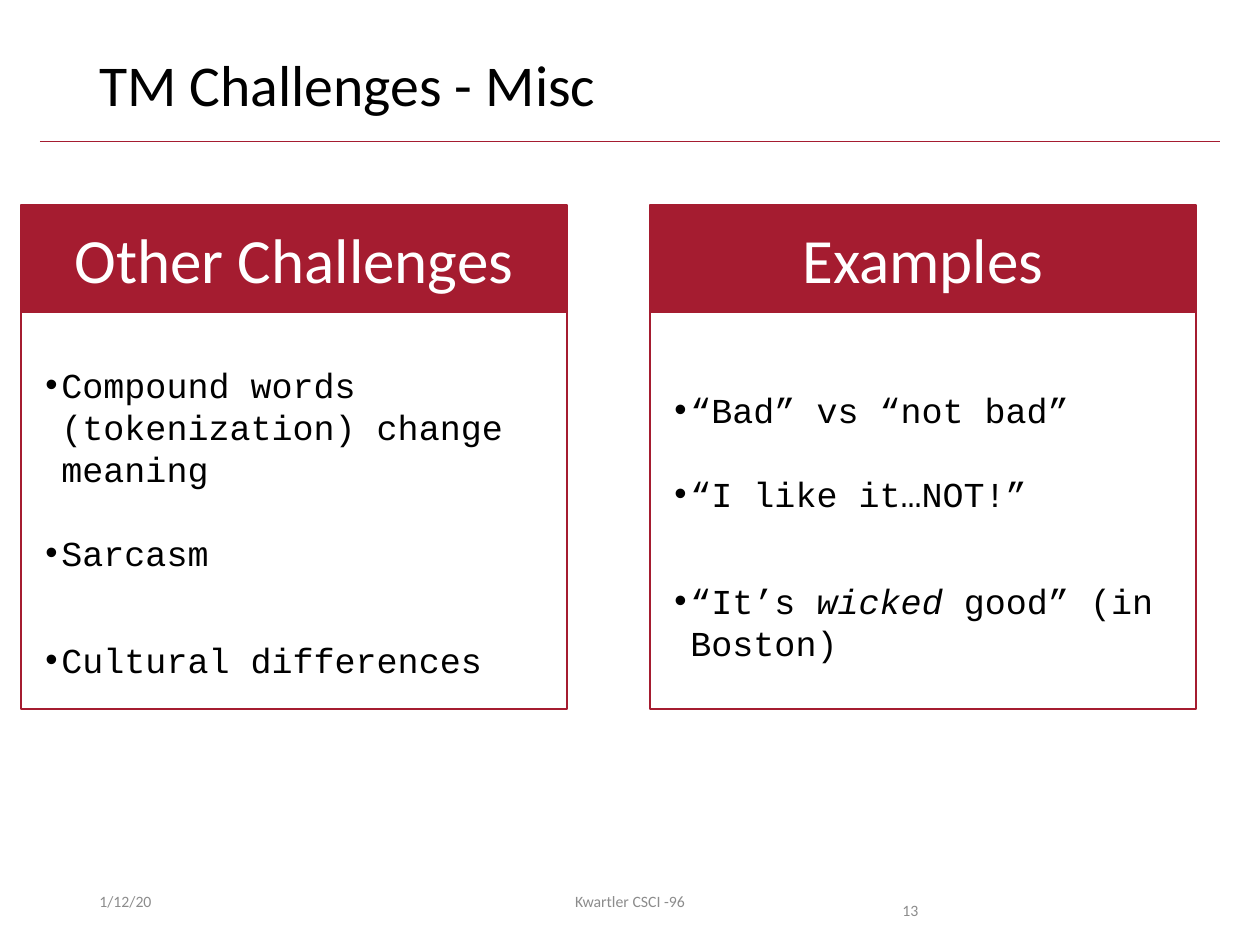
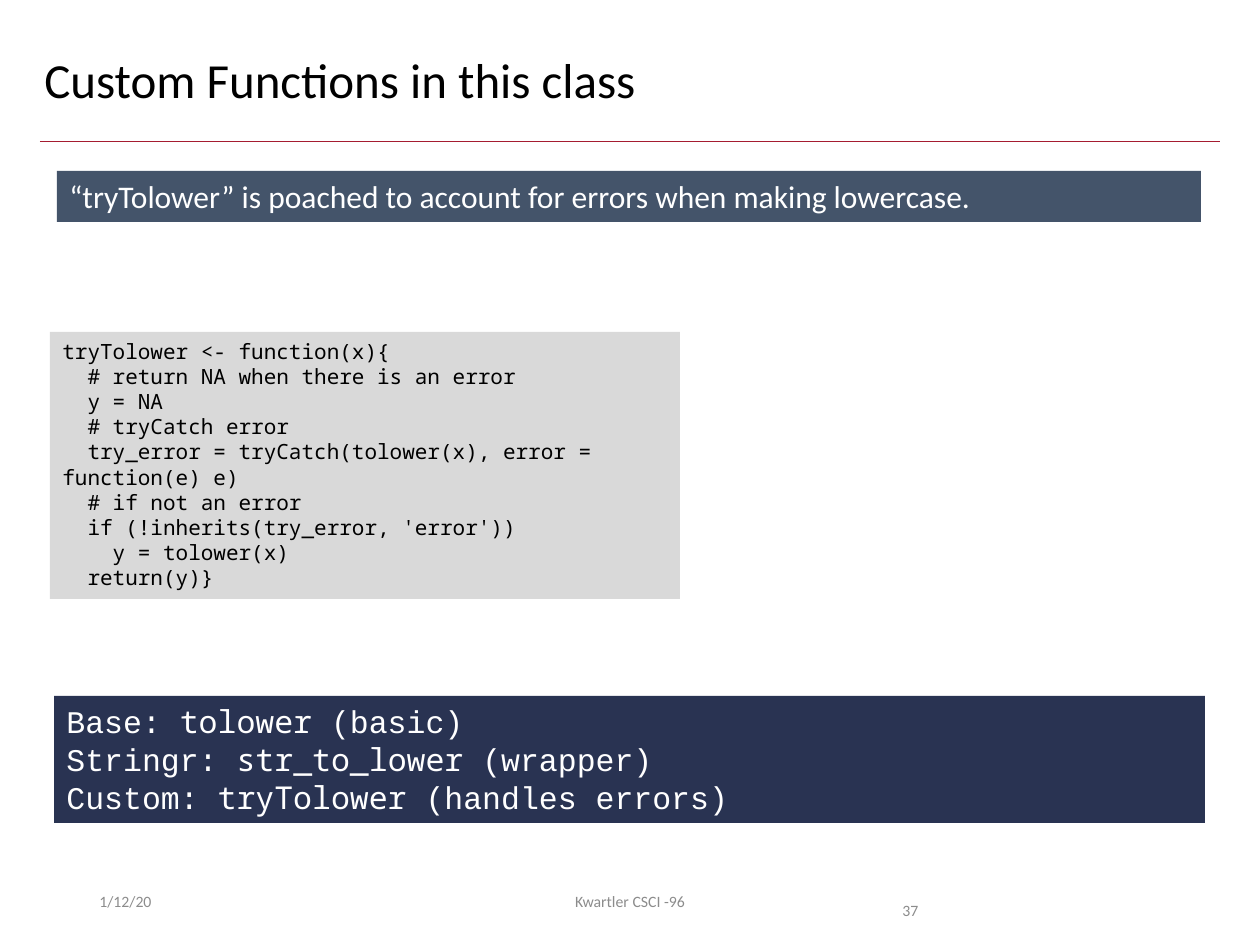
"""Builds two text mining lecture slides with a shared title, rule and footer."""
from lxml.etree import SubElement
from pptx import Presentation
from pptx.dml.color import RGBColor
from pptx.enum.shapes import MSO_CONNECTOR, MSO_SHAPE
from pptx.enum.text import MSO_ANCHOR, PP_ALIGN
from pptx.oxml.ns import qn
from pptx.util import Emu, Pt

CRIMSON = RGBColor(0xA5, 0x1C, 0x30)
NAVY = RGBColor(0x29, 0x33, 0x52)
SLATE = RGBColor(0x44, 0x54, 0x6A)
SILVER = RGBColor(0xD9, 0xD9, 0xD9)
GRAY = RGBColor(0x8C, 0x8C, 0x8C)
BLACK = RGBColor(0, 0, 0)
WHITE = RGBColor(0xFF, 0xFF, 0xFF)
SANS, TYPEWRITER, MONO = "Calibri", "Courier New", "Noto Sans Mono"
PAGE_WIDTH, PAGE_HEIGHT = 1260, 945
BULLET_INDENT = 16
BULLET_GAPS = (0, 24, 37)


def px(length):
    return Emu(round(length * 914400 / 126))


class LectureDeck:
    def __init__(self):
        self.deck = Presentation()
        self.deck.slide_width = px(PAGE_WIDTH)
        self.deck.slide_height = px(PAGE_HEIGHT)
        self.page = None

    def start_page(self, title, number, title_left, title_size):
        self.page = self.deck.slides.add_slide(self.deck.slide_layouts[6])
        self.rule(40, 141, 1220)
        self.text((title_left, 50, PAGE_WIDTH - 2 * title_left, 82), [title],
                  title_size, line_spacing=0.9)
        self.footer(87, 284, "1/12/20", anchor=MSO_ANCHOR.MIDDLE)
        self.footer(417, 426, "Kwartler CSCI -96", align=PP_ALIGN.CENTER,
                    anchor=MSO_ANCHOR.MIDDLE)
        self.footer(890, 118, str(number), line_spacing=2.0)

    def rule(self, left, top, right):
        line = self.page.shapes.add_connector(
            MSO_CONNECTOR.STRAIGHT, px(left), px(top), px(right), px(top))
        line.line.color.rgb = CRIMSON
        line.line.width = Pt(0.5)
        SubElement(line._element.spPr, qn("a:effectLst"))

    def footer(self, left, width, words, **style):
        self.text((left, 876, width, 50), [words], 9, color=GRAY, **style)

    def text(self, place, lines, size, **style):
        box = self.page.shapes.add_textbox(*map(px, place))
        self.fill_text(box, lines, size, **style)

    def band(self, place, lines, size, fill=None, border=None, **style):
        box = self.page.shapes.add_shape(MSO_SHAPE.RECTANGLE, *map(px, place))
        box.shadow.inherit = False
        if fill is None:
            box.fill.background()
        else:
            box.fill.solid()
            box.fill.fore_color.rgb = fill
        if border is None:
            box.line.fill.background()
        else:
            box.line.color.rgb = border
            box.line.width = Pt(1)
        self.fill_text(box, lines, size, **style)

    def fill_text(self, box, lines, size, font=SANS, color=BLACK, align=PP_ALIGN.LEFT,
                  anchor=MSO_ANCHOR.TOP, line_spacing=None, gaps=None, accent=None):
        """Fills a box; a tuple line alternates plain and accented spans."""
        frame = box.text_frame
        frame.word_wrap = True
        frame.vertical_anchor = anchor
        for index, line in enumerate(lines):
            para = frame.add_paragraph() if index else frame.paragraphs[0]
            para.alignment = align
            if line_spacing:
                para.line_spacing = line_spacing
            if gaps:
                self.bullet(para)
                if gaps[index]:
                    para.space_before = Pt(gaps[index])
            para.font.name = font
            para.font.size = Pt(size)
            para.font.color.rgb = color
            for position, words in enumerate((line,) if isinstance(line, str) else line):
                span = para.add_run()
                span.text = words
                if position % 2:
                    span.font.name = accent.get("name", font)
                    span.font.italic = accent.get("italic")

    def bullet(self, para):
        properties = para._p.get_or_add_pPr()
        properties.set("marL", str(px(BULLET_INDENT)))
        properties.set("indent", str(-px(BULLET_INDENT)))
        SubElement(properties, qn("a:buFont"), typeface="Arial")
        SubElement(properties, qn("a:buChar"), char="•")

    def panel(self, left, heading, points, points_top, points_height):
        self.text((left + 12, points_top, 523, points_height), points, 20,
                  font=TYPEWRITER, gaps=BULLET_GAPS, accent={"italic": True})
        self.band((left, 205, 546, 107), [heading], 36, CRIMSON, CRIMSON,
                  color=WHITE, align=PP_ALIGN.CENTER, anchor=MSO_ANCHOR.MIDDLE)
        self.band((left, 224, 546, 485), [], 20, border=CRIMSON)


def main():
    lecture = LectureDeck()

    lecture.start_page("TM Challenges - Misc", 13, 87, 33)
    lecture.panel(21, "Other Challenges",
                  ["Compound words (tokenization) change meaning",
                   "Sarcasm", "Cultural differences"], 357, 291)
    lecture.panel(650, "Examples",
                  ["“Bad” vs “not bad”", "“I like it…NOT!”",
                   ("“It’s ", "wicked", " good” (in Boston)")], 382, 248)

    lecture.start_page("Custom Functions in this class", 37, 32, 28)
    lecture.band((50, 332, 630, 267), [
        "tryTolower <- function(x){",
        "  # return NA when there is an error",
        "  y = NA",
        "  # tryCatch error",
        "  try_error = tryCatch(tolower(x), error = function(e) e)",
        "  # if not an error",
        "  if (!inherits(try_error, 'error'))",
        "    y = tolower(x)",
        "  return(y)}",
    ], 12, SILVER, font=MONO)
    lecture.band((57, 171, 1144, 51), [
        "“tryTolower” is poached to account for errors when making lowercase."],
        18, SLATE, color=WHITE)
    lecture.band((54, 696, 1151, 127), [
        ("Base: ", "tolower", " (basic)"),
        ("Stringr: ", "str_to_lower", " (wrapper)"),
        ("Custom: ", "tryTolower", " (handles errors)"),
    ], 18, NAVY, font=TYPEWRITER, color=WHITE, accent={"name": MONO})

    lecture.deck.save("out.pptx")


if __name__ == "__main__":
    main()
